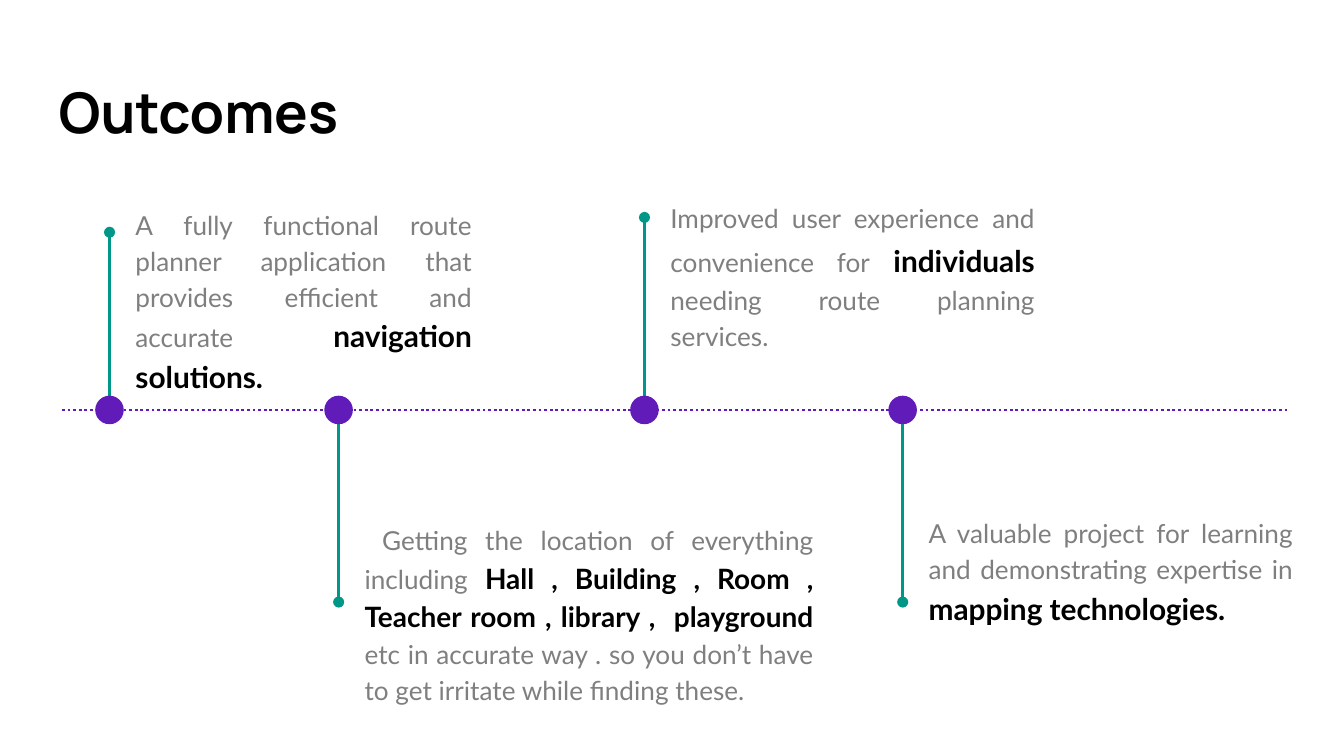
import pptx
import pptx.dml.color
import pptx.enum.dml
import pptx.enum.shapes
import pptx.enum.text
import pptx.oxml
import pptx.oxml.ns
import pptx.util
from pptx.util import Cm

PURPLE, TEAL, GREY, BLACK = "611BB8", "009688", "7F7F7F", "000000"
AXIS_Y = 7.75
DOT_SIZE = 0.54
STEM_GAP = 0.24

MILESTONES = [
    {
        "box": (2.31, 3.61, 6.86, 3.12), "tip": 4.39, "after": 16,
        "runs": [
            ("A fully functional route planner application that provides efficient and accurate ", 14, False),
            ("navigation solutions.", 16, True),
        ],
    },
    {
        "box": (6.64, 9.58, 8.99, 4.11), "tip": 11.38, "after": 0,
        "runs": [
            (" Getting the location of everything including ", 14, False),
            ("Hall , Building , Room , Teacher room , library ,  playground", 15, True),
            (" etc in accurate way . so you don’t have to get irritate while finding these.", 14, False),
        ],
    },
    {
        "box": (12.42, 3.48, 7.39, 3.76), "tip": 4.11, "after": 16,
        "runs": [
            ("Improved user experience and convenience for", 14, False),
            (" ", 16, False),
            ("individuals", 16, True),
            (" ", 18, True),
            ("needing route planning services.", 14, False),
        ],
    },
    {
        "box": (17.3, 9.45, 7.39, 3.63), "tip": 11.38, "after": 16,
        "runs": [
            ("A valuable project for learning and demonstrating expertise in ", 14, False),
            ("mapping technologies.", 16, True),
        ],
    },
]


def paint(color_format, color):
    """Set a colour format from a hex string."""
    color_format.rgb = pptx.dml.color.RGBColor.from_string(color)


def format_run(run, font_name, size, color, bold):
    """Format one run of text."""
    run.font.name = font_name
    run.font.size = pptx.util.Pt(size)
    run.font.bold = bold
    paint(run.font.color, color)


def place(shape, box, anchor):
    """Move a placeholder into a box and set up its text frame."""
    shape.left, shape.top, shape.width, shape.height = (Cm(value) for value in box)
    frame = shape.text_frame
    frame.margin_left = frame.margin_right = Cm(0.25)
    frame.margin_top = frame.margin_bottom = Cm(0.25)
    frame.word_wrap = True
    frame.auto_size = pptx.enum.text.MSO_AUTO_SIZE.NONE
    frame.vertical_anchor = anchor
    return frame


def add_line(slide, start, end, color):
    """Add a plain line without shadow between two points in centimetres."""
    line = slide.shapes.add_connector(
        pptx.enum.shapes.MSO_CONNECTOR.STRAIGHT, *(Cm(value) for value in start + end))
    line.line.width = pptx.util.Pt(1.5)
    paint(line.line.color, color)
    properties = line._element.spPr
    properties.append(pptx.oxml.parse_xml(
        f"<a:effectLst {pptx.oxml.ns.nsdecls('a')}/>"))
    return line


def add_title(slide, box, text):
    """Fill the title placeholder."""
    frame = place(slide.shapes.title, box, pptx.enum.text.MSO_ANCHOR.MIDDLE)
    frame.text = text
    paragraph = frame.paragraphs[0]
    paragraph.alignment = pptx.enum.text.PP_ALIGN.LEFT
    format_run(paragraph.runs[0], "Manrope", 30, BLACK, True)


def add_axis(slide, left, right):
    """Add the dotted horizontal axis."""
    axis = add_line(slide, (left, AXIS_Y), (right, AXIS_Y), PURPLE)
    axis.line.dash_style = pptx.enum.dml.MSO_LINE.ROUND_DOT


def add_marker(slide, center, tip):
    """Add a dot on the axis with a stem that reaches to the tip."""
    radius = DOT_SIZE / 2
    edge = AXIS_Y - radius if tip < AXIS_Y else AXIS_Y + radius
    stem = add_line(slide, (center, edge), (center, tip), TEAL)
    stem.line._get_or_add_ln().append(pptx.oxml.parse_xml(
        f"<a:tailEnd {pptx.oxml.ns.nsdecls('a')} type='oval'/>"))
    dot = slide.shapes.add_shape(
        pptx.enum.shapes.MSO_SHAPE.OVAL, Cm(center - radius), Cm(AXIS_Y - radius),
        Cm(DOT_SIZE), Cm(DOT_SIZE))
    dot.shadow.inherit = False
    dot.fill.solid()
    paint(dot.fill.fore_color, PURPLE)
    dot.line.fill.background()


def add_milestone(slide, placeholder, box, tip, after, runs):
    """Place one outcome text and its marker to the left of the box."""
    add_marker(slide, box[0] - STEM_GAP, tip)
    frame = place(placeholder, box, pptx.enum.text.MSO_ANCHOR.TOP)
    paragraph = frame.paragraphs[0]
    paragraph.alignment = pptx.enum.text.PP_ALIGN.JUSTIFY
    paragraph.line_spacing = 1.15
    paragraph.space_before = pptx.util.Pt(0)
    paragraph.space_after = pptx.util.Pt(after)
    properties = paragraph._p.get_or_add_pPr()
    properties.set("marL", "0")
    properties.set("indent", "0")
    properties.append(pptx.oxml.parse_xml(
        f"<a:buNone {pptx.oxml.ns.nsdecls('a')}/>"))
    for text, size, bold in runs:
        run = paragraph.add_run()
        run.text = text
        format_run(run, "Lato", size, BLACK if bold else GREY, bold)


def main():
    """Build the outcomes slide and save it."""
    presentation = pptx.Presentation()
    presentation.slide_width, presentation.slide_height = Cm(25.4), Cm(14.29)
    layout = presentation.slide_layouts.get_by_name("Comparison")
    slide = presentation.slides.add_slide(layout)
    add_title(slide, (0.86, 1.24, 23.67, 1.73), "Outcomes")
    add_axis(slide, 1.17, 24.33)
    bodies = list(slide.placeholders)[1:]
    for placeholder, milestone in zip(bodies, MILESTONES):
        add_milestone(slide, placeholder, **milestone)
    presentation.save("out.pptx")


if __name__ == "__main__":
    main()
